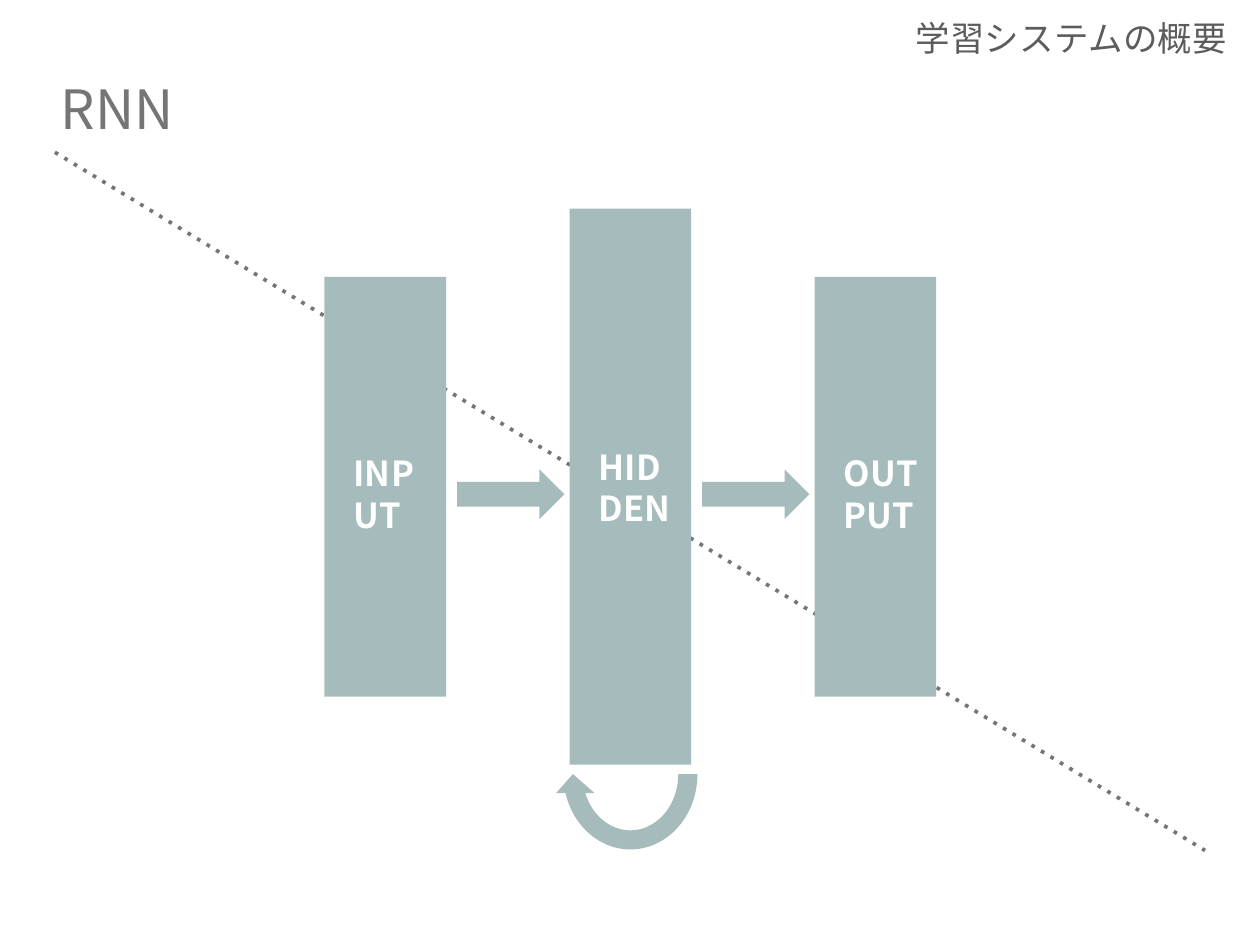
from dataclasses import dataclass

from lxml import etree
from pptx import Presentation
from pptx.dml.color import RGBColor
from pptx.enum.shapes import MSO_CONNECTOR, MSO_SHAPE
from pptx.enum.text import MSO_ANCHOR, PP_ALIGN
from pptx.oxml.ns import qn
from pptx.slide import Slide
from pptx.util import Emu, Inches, Pt

COLORS = {"bar": "A6BBBB", "title": "747676", "heading": "5C5C5C", "label": "FFFFFF"}
FONT = "Noto Sans CJK JP"
WIDTH, HEIGHT = Inches(14.22), Inches(10.67)

# Horizontal grid, in percent of the slide width
MIDDLE = 50.03
COLUMN = 19.45


@dataclass(frozen=True)
class Area:
    """A centred area, in percent of the slide's width and height."""
    center_x: float
    center_y: float
    width: float
    height: float

    def box(self) -> tuple[Emu, Emu, Emu, Emu]:
        return (across(self.center_x - self.width / 2), down(self.center_y - self.height / 2),
                across(self.width), down(self.height))


@dataclass(frozen=True)
class Layer:
    name: str
    column: int
    bar_height: float
    label_y: float


@dataclass(frozen=True)
class TextStyle:
    size: float
    color: str
    bold: bool = False
    tracking: int = 0
    align: PP_ALIGN = PP_ALIGN.LEFT
    anchor: MSO_ANCHOR = MSO_ANCHOR.MIDDLE


LAYERS = [
    Layer("INPUT", -1, 44.42, 52.25),
    Layer("HIDDEN", 0, 58.86, 51.55),
    Layer("OUTPUT", 1, 44.42, 52.25),
]
TITLE = TextStyle(44, "title", anchor=MSO_ANCHOR.TOP)
HEADING = TextStyle(28, "heading", tracking=30, align=PP_ALIGN.RIGHT)
LABEL = TextStyle(28, "label", bold=True, tracking=30)


def across(percent: float) -> Emu:
    return Emu(round(WIDTH * percent / 100))


def down(percent: float) -> Emu:
    return Emu(round(HEIGHT * percent / 100))


def add_text(page: Slide, area: Area, text: str, style: TextStyle) -> None:
    frame = page.shapes.add_textbox(*area.box()).text_frame
    frame.word_wrap = True
    frame.vertical_anchor = style.anchor
    frame.margin_left = frame.margin_right = Inches(0.06)
    frame.margin_top = frame.margin_bottom = Inches(0.06)
    para = frame.paragraphs[0]
    para.alignment = style.align
    span = para.add_run()
    span.text = text
    font = span.font
    font.size = Pt(style.size)
    font.bold = style.bold
    font.color.rgb = RGBColor.from_string(COLORS[style.color])
    font.name = FONT
    properties = span._r.get_or_add_rPr()
    properties.set("spc", str(style.tracking))
    etree.SubElement(properties, qn("a:ea"), typeface=FONT)


def add_solid(page: Slide, kind: MSO_SHAPE, area: Area, rotation: float = 0) -> None:
    shape = page.shapes.add_shape(kind, *area.box())
    shape.shadow.inherit = False
    shape.fill.solid()
    shape.fill.fore_color.rgb = RGBColor.from_string(COLORS["bar"])
    shape.line.fill.background()
    shape.rotation = rotation


def add_dotted_line(page: Slide) -> None:
    rule = page.shapes.add_connector(
        MSO_CONNECTOR.STRAIGHT, across(4.36), down(16.12), across(95.64), down(90))
    rule.line.color.rgb = RGBColor.from_string(COLORS["title"])
    rule.line.width = Pt(3)
    dashes = etree.SubElement(rule.line._get_or_add_ln(), qn("a:custDash"))
    etree.SubElement(dashes, qn("a:ds"), d="100000", sp="200000")
    etree.SubElement(rule._element.spPr, qn("a:effectLst"))


def main() -> None:
    deck = Presentation()
    deck.slide_width, deck.slide_height = WIDTH, HEIGHT
    page = deck.slides.add_slide(deck.slide_layouts[6])

    # Title, heading and dotted line
    add_dotted_line(page)
    add_text(page, Area(50, 11.11, 91.2, 7.4), "RNN", TITLE)
    add_text(page, Area(82.07, 4.03, 31.5, 5.44), "学習システムの概要", HEADING)

    # Network layers
    for layer in LAYERS:
        center = MIDDLE + layer.column * COLUMN
        add_solid(page, MSO_SHAPE.RECTANGLE, Area(center, 51.5, 9.65, layer.bar_height))
        add_text(page, Area(center + 0.55, layer.label_y, 7.03, 40), layer.name, LABEL)

    # Arrows between the layers
    for gap in (-0.5, 0.5):
        add_solid(page, MSO_SHAPE.RIGHT_ARROW, Area(MIDDLE + 0.23 + gap * COLUMN, 52.3, 8.51, 5.25))

    # Recurrent loop under the hidden layer
    add_solid(page, MSO_SHAPE.CIRCULAR_ARROW, Area(MIDDLE, 81.91, 12.17, 17.99), rotation=180)

    deck.save("out.pptx")


if __name__ == "__main__":
    main()
